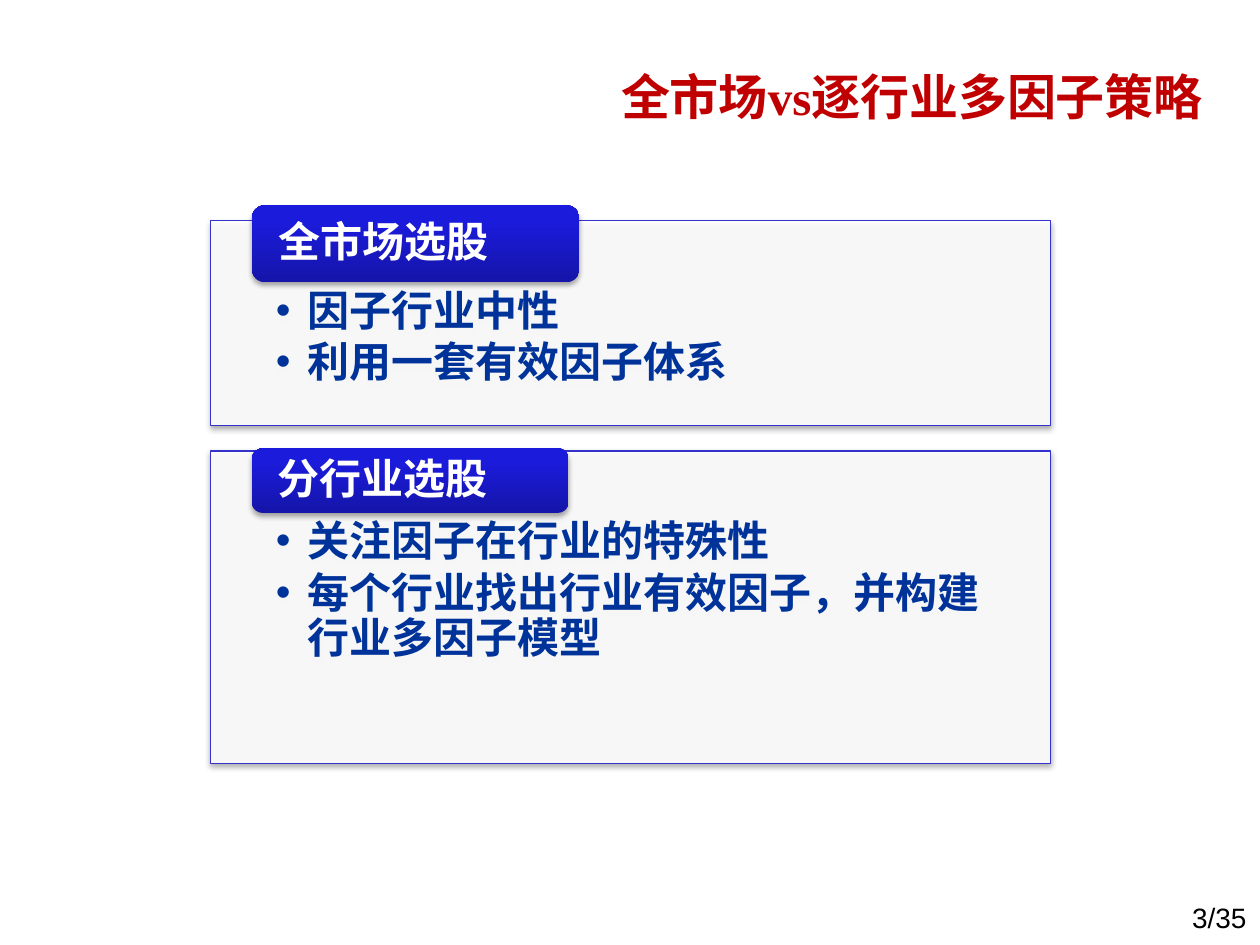
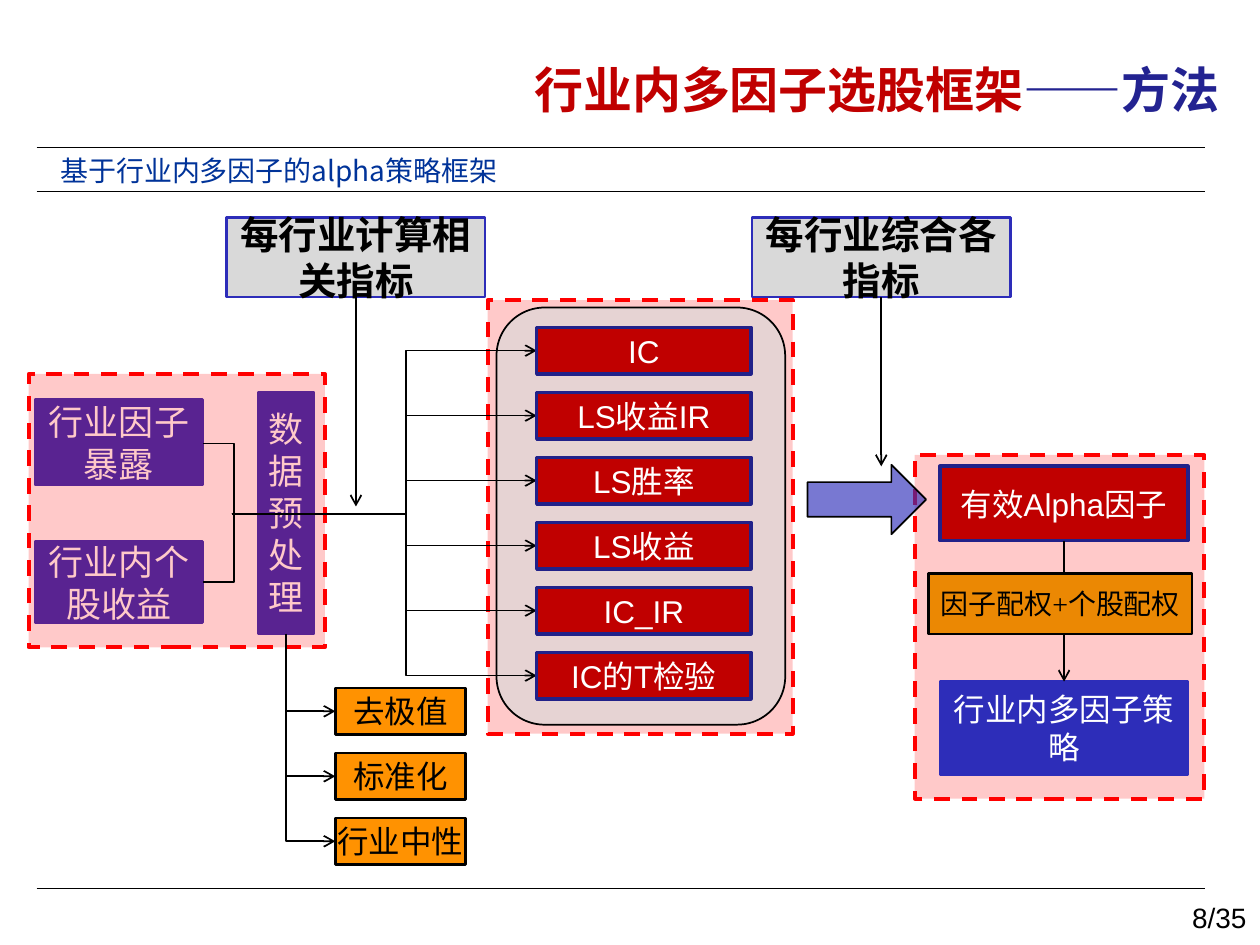
from dataclasses import dataclass

from lxml.etree import SubElement
from pptx import Presentation
from pptx.dml.color import RGBColor
from pptx.enum.dml import MSO_LINE
from pptx.enum.shapes import MSO_CONNECTOR, MSO_SHAPE
from pptx.enum.text import MSO_ANCHOR, MSO_AUTO_SIZE, PP_ALIGN
from pptx.oxml.ns import qn
from pptx.util import Cm, Pt

LEFT, CENTER, RIGHT = PP_ALIGN.LEFT, PP_ALIGN.CENTER, PP_ALIGN.RIGHT
TOP, MIDDLE = MSO_ANCHOR.TOP, MSO_ANCHOR.MIDDLE
RECT, ROUND, ARROW = MSO_SHAPE.RECTANGLE, MSO_SHAPE.ROUNDED_RECTANGLE, MSO_SHAPE.RIGHT_ARROW
STRAIGHT, ELBOW = MSO_CONNECTOR.STRAIGHT, MSO_CONNECTOR.ELBOW
DASH, NO_FIT = MSO_LINE.DASH, MSO_AUTO_SIZE.NONE
TWO_CONTENT, TITLE_ONLY = 3, 5
SIDE_TOP, SIDE_BOTTOM = 0, 2


@dataclass(frozen=True)
class Theme:
    black: str = "000000"
    white: str = "FFFFFF"
    red: str = "C00000"
    zone: str = "FF0000"
    blue: str = "2D2DB9"
    navy: str = "212189"
    accent: str = "232391"
    ink: str = "003399"
    edge: str = "3333CC"
    tab_dark: str = "1515A9"
    tab_light: str = "1B1BDC"
    grey: str = "D9D9D9"
    orange: str = "FF9201"
    amber: str = "EB8803"
    sans: str = "Arial"
    serif: str = "Times New Roman"
    chinese: str = "Noto Sans CJK SC"
    title: int = 28
    heading: int = 24
    label: int = 22
    source: int = 20
    node: int = 18
    small: int = 16


@dataclass(frozen=True)
class Box:
    left: float
    top: float
    width: float
    height: float

    def inside(self, dx, dy, width, height):
        return Box(self.left + dx, self.top + dy, width, height)

    def lengths(self):
        return [Cm(n) for n in (self.left, self.top, self.width, self.height)]


THEME = Theme()


def rgb(value):
    return RGBColor.from_string(value)


def add_span(para, text, font=THEME.sans, size=THEME.node, color=THEME.black, bold=False):
    span = para.add_run()
    span.text = text
    span.font.size, span.font.bold, span.font.name = Pt(size), bold, font
    span.font.color.rgb = rgb(color)
    SubElement(span.font._element, qn("a:ea"), typeface=THEME.chinese)


def write(frame, text, align=CENTER, anchor=MIDDLE, insets=(0, 0, 0, 0), spacing=1.0,
          after=0, margin=0, indent=0, **font):
    frame.word_wrap, frame.auto_size, frame.vertical_anchor = True, NO_FIT, anchor
    (frame.margin_left, frame.margin_top,
     frame.margin_right, frame.margin_bottom) = [Cm(n) for n in insets]
    for number, line in enumerate(text.split("\n")):
        para = frame.add_paragraph() if number else frame.paragraphs[0]
        para.alignment, para.line_spacing = align, spacing
        para.space_before, para.space_after = Pt(0), Pt(after)
        settings = para._p.get_or_add_pPr()
        settings.set("marL", str(Cm(margin)))
        settings.set("indent", str(Cm(indent)))
        add_span(para, line, **font)


def paint(shape, fill, line=None, weight=1.5, opacity=None):
    shape.fill.solid()
    shape.fill.fore_color.rgb = rgb(fill)
    if opacity:
        color = shape._element.spPr.find(qn("a:solidFill"))[0]
        SubElement(color, qn("a:alpha"), val=str(opacity * 1000))
    if line:
        shape.line.color.rgb = rgb(line)
        shape.line.width = Pt(weight)


def cast_shadow(shape):
    effects = SubElement(shape._element.spPr, qn("a:effectLst"))
    shadow = SubElement(effects, qn("a:outerShdw"), blurRad=str(Pt(3.1)), dist=str(Pt(1.8)),
                        dir="5400000", rotWithShape="0")
    color = SubElement(shadow, qn("a:srgbClr"), val=THEME.black)
    SubElement(color, qn("a:alpha"), val="35000")


def add_box(page, box, fill, line, kind=RECT, weight=1.5, opacity=None):
    shape = page.shapes.add_shape(kind, *box.lengths())
    shape.shadow.inherit = False
    paint(shape, fill, line, weight, opacity)
    return shape


def add_node(page, box, text, fill, line, weight=1.5, **font):
    shape = add_box(page, box, fill, line, weight=weight)
    write(shape.text_frame, text, **font)
    return shape


def add_zone(page, box):
    add_box(page, box, THEME.zone, THEME.zone, weight=2.25, opacity=21).line.dash_style = DASH


def add_arrow(page, start, end, kind=STRAIGHT, bend=None):
    arrow = page.shapes.add_connector(kind, *[Cm(n) for n in (*start, *end)])
    arrow.line.color.rgb = rgb(THEME.black)
    arrow.line.width = Pt(1)
    outline = arrow._element.spPr
    SubElement(outline.find(qn("a:ln")), qn("a:tailEnd"), type="arrow")
    SubElement(outline, qn("a:effectLst"))
    if bend is not None:
        share = round((bend - start[0]) / (end[0] - start[0]) * 100000)
        guides = outline.find(qn("a:prstGeom")).find(qn("a:avLst"))
        SubElement(guides, qn("a:gd"), name="adj1", fmla=f"val {share}")
    return arrow


def start_page(deck, layout, title_box, title, number):
    page = deck.slides.add_slide(deck.slide_layouts[layout])
    heading = page.shapes.title
    heading.left, heading.top, heading.width, heading.height = title_box.lengths()
    write(heading.text_frame, title, align=LEFT, anchor=TOP, insets=(0.25, 0.13, 0.25, 0.13),
          spacing=1.5, indent=1.02, font=THEME.serif, size=THEME.title, color=THEME.red, bold=True)
    footer = page.shapes.add_textbox(*Box(19.46, 17.98, 5.92, 1.02).lengths())
    write(footer.text_frame, f"{number}/35", align=RIGHT, insets=(0.25, 0.13, 0.25, 0.13),
          size=THEME.small)
    return page


def fill_panel(page, body, box, tab_box, heading, points):
    body.left, body.top, body.width, body.height = box.lengths()
    paint(body, THEME.white, THEME.edge, 0.75, opacity=90)
    cast_shadow(body)
    style = dict(align=LEFT, spacing=0.9, font=THEME.chinese, size=THEME.heading, bold=True)
    write(body.text_frame, points, anchor=TOP, insets=(1.32, 1.4, 1.32, 0.48), after=3.6,
          margin=0.64, indent=-0.64, color=THEME.ink, **style)
    tab = page.shapes.add_shape(ROUND, *tab_box.lengths())
    tab.fill.gradient()
    tab.fill.gradient_angle = 90
    stops = zip(tab.fill.gradient_stops, (THEME.tab_dark, THEME.tab_light), (0, 0.8))
    for stop, color, position in stops:
        stop.color.rgb, stop.position = rgb(color), position
    tab.line.fill.background()
    cast_shadow(tab)
    write(tab.text_frame, heading, insets=(0.46, 0, 0.46, 0), color=THEME.white, **style)


def build_comparison(deck):
    page = start_page(deck, TWO_CONTENT, Box(11.25, 0.61, 14.15, 1.83),
                      "全市场vs逐行业多因子策略", 3)
    market, industry = Box(4.24, 4.44, 16.94, 4.14), Box(4.24, 9.09, 16.94, 6.3)
    fill_panel(page, page.placeholders[1], market, market.inside(0.84, -0.3, 6.6, 1.55),
               "全市场选股", "因子行业中性\n利用一套有效因子体系")
    fill_panel(page, page.placeholders[2], industry, industry.inside(0.84, -0.05, 6.38, 1.3),
               "分行业选股", "关注因子在行业的特殊性\n每个行业找出行业有效因子，并构建行业多因子模型")


def draw_frame(page, box, caption):
    heights = 0.89, box.height - 0.89
    table = page.shapes.add_table(2, 1, *box.lengths()).table
    table.first_row = table.horz_banding = False
    for row, height in zip(table.rows, heights):
        row.height = Cm(height)
        cell = row.cells[0]
        settings = cell._tc.get_or_add_tcPr()
        for side in ("lnL", "lnR", "lnT", "lnB"):
            border = SubElement(settings, qn(f"a:{side}"), w=str(Pt(1)))
            if side in ("lnL", "lnR"):
                SubElement(border, qn("a:noFill"))
            else:
                SubElement(SubElement(border, qn("a:solidFill")), qn("a:srgbClr"), val=THEME.black)
        cell.fill.background()
    cell = table.cell(0, 0)
    para = cell.text_frame.paragraphs[0]
    cell.vertical_anchor = MIDDLE
    cell.margin_left, cell.margin_right = Cm(0.48), Cm(0.18)
    cell.margin_top = cell.margin_bottom = 0
    add_span(para, caption, font=THEME.chinese, size=THEME.small, color=THEME.ink)


def draw_inputs(page, box):
    nodes = (
        (box.inside(4.63, 0.36, 1.12, 4.88), "数\n据\n预\n处\n理"),
        (box.inside(0.13, 3.38, 3.38, 1.63), "行业内个股收益"),
        (box.inside(0.13, 0.51, 3.38, 1.73), "行业因子暴露"),
    )
    for place, text in nodes:
        add_node(page, place, text, THEME.blue, THEME.blue, size=THEME.source, color=THEME.white)
    add_zone(page, box)
    left, right = box.left + 3.51, box.left + 4.14
    upper, lower = box.top + 1.4, box.top + 4.19
    outline = page.shapes.build_freeform(Cm(left), Cm(upper))
    corners = (right, upper), (right, lower), (left, lower)
    outline.add_line_segments([(Cm(x), Cm(y)) for x, y in corners], close=False)
    bracket = outline.convert_to_shape()
    bracket.fill.background()
    bracket.line.color.rgb = rgb(THEME.black)
    bracket.line.width = Pt(1)
    bracket.shadow.inherit = False


def draw_metrics(page, box):
    add_zone(page, box)
    add_box(page, box.inside(0.18, 0.15, 5.82, 8.41), THEME.grey, THEME.black, ROUND, 1, 64)
    source = box.left - 5.16, box.top + 4.31
    for row, text in enumerate(("IC", "LS收益IR", "LS胜率", "LS收益", "IC_IR", "IC的T检验")):
        cell = box.inside(0.99, 0.55 + 1.31 * row, 4.32, 0.94)
        add_arrow(page, source, (cell.left, cell.top + cell.height / 2), ELBOW, box.left - 1.65)
        add_node(page, cell, text, THEME.red, THEME.navy, 2, color=THEME.white)


def draw_cleaning(page, box):
    trunk = box.left - 0.99
    for row, text in enumerate(("去极值", "标准化", "行业中性")):
        cell = box.inside(0, 1.31 * row, box.width, 0.94)
        end = cell.left, cell.top + cell.height / 2
        add_arrow(page, (trunk, box.top - 1.09), end, ELBOW, trunk)
        add_node(page, cell, text, THEME.orange, THEME.black)


def draw_label(page, box, text, tip):
    label = add_node(page, box, text, THEME.grey, THEME.blue, font=THEME.chinese,
                     size=THEME.label, bold=True)
    middle = box.left + box.width / 2
    arrow = add_arrow(page, (middle, box.top + box.height), (middle, tip))
    arrow.begin_connect(label, SIDE_BOTTOM)


def draw_result(page, box):
    add_zone(page, box)
    factor_box, strategy_box = box.inside(0.51, 0.23, 5, 1.5), box.inside(0.51, 4.57, 5, 1.88)
    factor = add_node(page, factor_box, "有效Alpha因子", THEME.red, THEME.navy, 2,
                      color=THEME.white)
    strategy = add_node(page, strategy_box, "行业内多因子策略", THEME.blue, THEME.blue,
                        color=THEME.white)
    middle = factor_box.left + factor_box.width / 2
    arrow = add_arrow(page, (middle, factor_box.top + factor_box.height),
                      (middle, strategy_box.top))
    arrow.begin_connect(factor, SIDE_BOTTOM)
    arrow.end_connect(strategy, SIDE_TOP)
    add_node(page, box.inside(0.28, 2.39, 5.31, 1.22), "因子配权+个股配权", THEME.amber,
             THEME.black, font=THEME.serif, size=THEME.small)
    add_box(page, box.inside(-2.16, 0.2, 2.39, 1.4), THEME.blue, THEME.black, ARROW, 1, 64)


def build_framework(deck):
    page = start_page(deck, TITLE_ONLY, Box(9.5, 0.48, 15.9, 2.06), "行业内多因子选股框架", 8)
    add_span(page.shapes.title.text_frame.paragraphs[0], "——方法", font=THEME.chinese,
             size=THEME.title, color=THEME.accent, bold=True)
    draw_frame(page, Box(0.74, 2.97, 23.55, 14.94), "基于行业内多因子的alpha策略框架")
    draw_inputs(page, Box(0.58, 7.54, 5.97, 5.51))
    draw_metrics(page, Box(9.83, 6.05, 6.15, 8.74))
    draw_cleaning(page, Box(6.76, 13.87, 2.62, 3.56))
    draw_label(page, Box(4.57, 4.39, 5.21, 1.6), "每行业计算相关指标", 10.21)
    draw_result(page, Box(18.44, 9.17, 5.84, 6.93))
    draw_label(page, Box(15.16, 4.39, 5.21, 1.6), "每行业综合各指标", 9.4)


def main():
    deck = Presentation()
    deck.slide_width, deck.slide_height = Cm(25.4), Cm(19.05)
    build_comparison(deck)
    build_framework(deck)
    deck.save("out.pptx")


if __name__ == "__main__":
    main()
